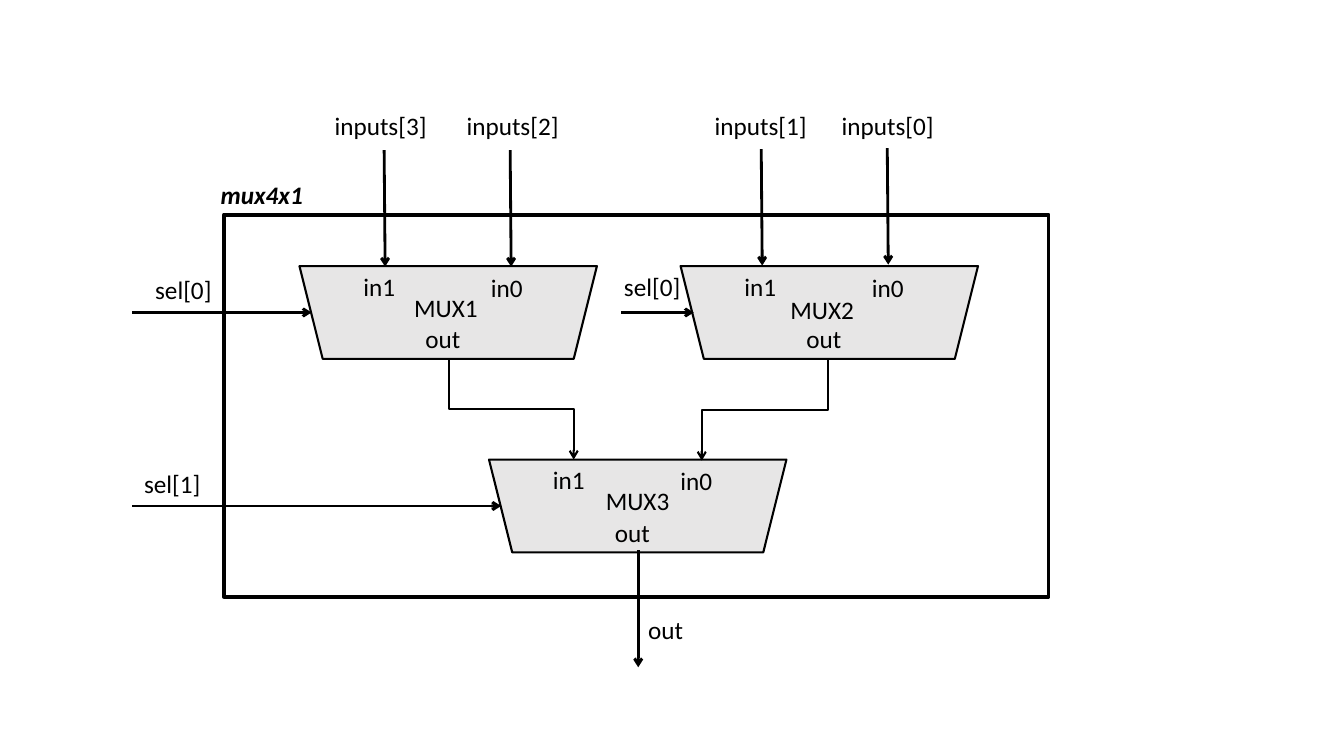
from dataclasses import dataclass

from lxml.etree import SubElement
from pptx import Presentation
from pptx.dml.color import RGBColor
from pptx.enum.shapes import MSO_CONNECTOR as Connector, MSO_SHAPE as Preset
from pptx.oxml.ns import qn
from pptx.util import Inches, Pt


@dataclass(frozen=True)
class Theme:
    """Colours, type, line weights and the grid of the diagram."""

    ink: RGBColor = RGBColor(0, 0, 0)
    mux_fill: RGBColor = RGBColor(0xE7, 0xE6, 0xE6)
    font: str = "Calibri"
    text_size: float = 18
    thin: float = 1.5
    signal: float = 2
    frame: float = 2.75
    cell: float = 0.1
    label_height: float = 4
    label_width: float = 11.2


THEME = Theme()
MUX_WIDTH, MUX_HEIGHT = 29.5, 9.2


def grid(*cells):
    """Convert counts of grid columns or rows to lengths."""
    return [Inches(count * THEME.cell) for count in cells]


def add_label(slide, text, left, top, width=THEME.label_width, emphasis=False):
    """Add one line of text."""
    box = slide.shapes.add_textbox(*grid(left, top, width, THEME.label_height))
    box.text_frame.word_wrap = True
    box.text_frame.text = text
    font = box.text_frame.paragraphs[0].runs[0].font
    font.name = THEME.font
    font.size = Pt(THEME.text_size)
    font.color.rgb = THEME.ink
    if emphasis:
        font.bold = font.italic = True


def add_outlined(slide, preset, left, top, width, height, weight, fill=None):
    """Add a preset shape with a dark outline and an optional fill."""
    shape = slide.shapes.add_shape(preset, *grid(left, top, width, height))
    shape.shadow.inherit = False
    shape.line.color.rgb = THEME.ink
    shape.line.width = Pt(weight)
    if fill is None:
        shape.fill.background()
    else:
        shape.fill.solid()
        shape.fill.fore_color.rgb = fill
    return shape


def add_mux(slide, name, left, top, name_column, name_row):
    """Add a multiplexer with its port labels and name."""
    body = add_outlined(slide, Preset.TRAPEZOID, left, top, MUX_WIDTH, MUX_HEIGHT,
                        THEME.thin, THEME.mux_fill)
    body.rotation = 180
    for port, column, row in (("in1", 5.35, 0), ("in0", 18, 0.1), ("out", 11.5, 5.2)):
        add_label(slide, port, left + column, top + row, 6.2)
    add_label(slide, name, left + name_column, top + name_row, 15.5)


def add_arrow(slide, start, end, weight=THEME.signal, kind=Connector.STRAIGHT):
    """Add a connector with an open arrowhead at its end."""
    arrow = slide.shapes.add_connector(kind, *grid(*start, *end))
    arrow.line.color.rgb = THEME.ink
    arrow.line.width = Pt(weight)
    SubElement(arrow.line._get_or_add_ln(), qn("a:tailEnd"), type="arrow")
    SubElement(arrow._element.spPr, qn("a:effectLst"))
    return arrow


def add_downward_elbow(slide, start, end):
    """Add an elbow arrow that leaves and arrives vertically."""
    (start_x, start_y), (end_x, end_y) = start, end
    length, span = end_y - start_y, abs(end_x - start_x)
    left = (start_x + end_x - length) / 2
    top = (start_y + end_y - span) / 2
    arrow = add_arrow(slide, (left, top), (left + length, top + span),
                      THEME.thin, Connector.ELBOW)
    transform = arrow._element.spPr.find(qn("a:xfrm"))
    if end_x > start_x:
        transform.set("rot", str(270 * 60000))
        transform.set("flipH", "1")
    else:
        transform.set("rot", str(90 * 60000))


def main():
    """Build the 4-to-1 multiplexer diagram."""
    presentation = Presentation()
    presentation.slide_width, presentation.slide_height = Inches(13.33), Inches(7.5)
    slide = presentation.slides.add_slide(presentation.slide_layouts[6])

    upper, lower = 26.4, 45.6
    for mux in (("MUX1", 29.7, upper, 10.4, 2.1),
                ("MUX2", 67.5, upper, 9.9, 2.3),
                ("MUX3", 48.5, lower, 10.6, 2.1)):
        add_mux(slide, *mux)

    outlet = upper + MUX_HEIGHT
    add_downward_elbow(slide, (44.5, outlet), (56.9, lower))
    add_downward_elbow(slide, (82.1, outlet), (69.6, lower + 0.1))
    add_outlined(slide, Preset.RECTANGLE, 22.2, 21.3, 81.8, 37.9, THEME.frame)
    add_label(slide, "mux4x1", 20.9, 17.3, emphasis=True)

    for text, label_left, column, start_row in (
            ("inputs[3]", 32.2, 38.1, 14.9), ("inputs[2]", 45.3, 50.6, 14.9),
            ("inputs[1]", 69.9, 75.5, 14.8), ("inputs[0]", 82.5, 88, 14.7)):
        add_label(slide, text, label_left, 10.5)
        add_arrow(slide, (column, start_row), (column + 0.1, start_row + 11.55))

    for text, label_left, label_top, start, end, row in (
            ("sel[0]", 14.4, 26.7, 13.1, 30.9, 31),
            ("sel[1]", 13.3, 46, 13.1, 49.7, 50.2),
            ("sel[0]", 60.9, 26.4, 61.6, 68.8, 31)):
        add_label(slide, text, label_left, label_top)
        add_arrow(slide, (start, row), (end, row))

    add_arrow(slide, (63.3, 54.6), (63.3, 66.2))
    add_label(slide, "out", 63.3, 60.5)
    presentation.save("out.pptx")


main()
